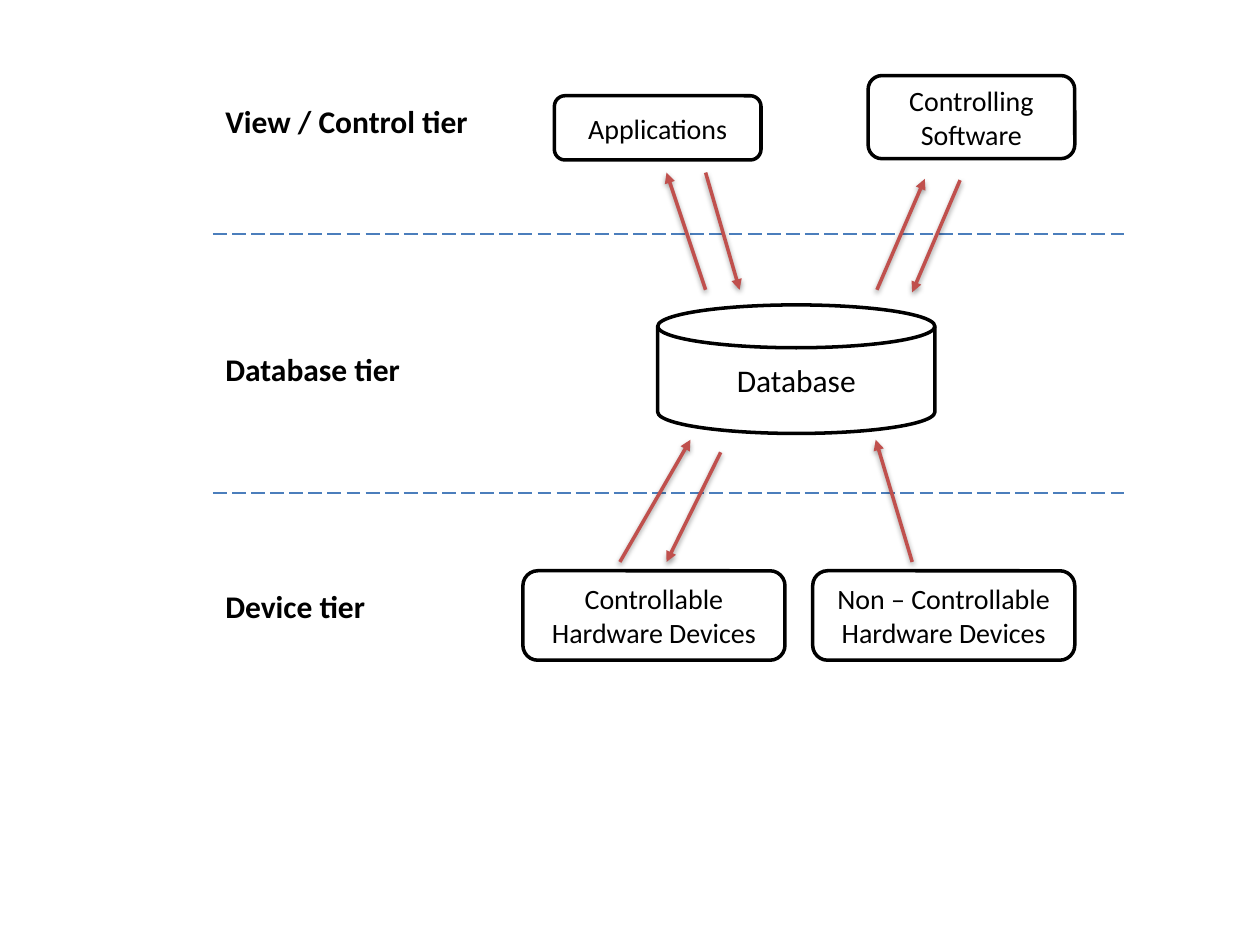
from lxml.etree import SubElement
from pptx import Presentation
from pptx.dml.color import RGBColor
from pptx.enum.dml import MSO_LINE
from pptx.enum.shapes import MSO_CONNECTOR, MSO_SHAPE
from pptx.enum.text import MSO_ANCHOR, MSO_AUTO_SIZE, PP_ALIGN
from pptx.oxml.ns import qn
from pptx.util import Inches, Pt

COLORS = {"ink": "000000", "paper": "FFFFFF", "rule": "4B7EBC", "arrow": "C0504D"}
COLORS = {name: RGBColor.from_string(code) for name, code in COLORS.items()}

deck = Presentation()
deck.slide_width, deck.slide_height = Inches(10), Inches(7.5)
slide = deck.slides.add_slide(deck.slide_layouts[6])
shapes = slide.shapes


def add_line(ends, color, width):
    """Add a straight line and return it with its empty effect list."""
    line = shapes.add_connector(MSO_CONNECTOR.STRAIGHT, *map(Inches, ends))
    line.line.color.rgb = COLORS[color]
    line.line.width = Pt(width)
    return line, SubElement(line._element.spPr, qn("a:effectLst"))


def set_text(shape, text, size, bold=False, align=None):
    frame = shape.text_frame
    frame.word_wrap = True
    frame.text = text
    para = frame.paragraphs[0]
    para.alignment = align
    para.font.name = "Calibri"
    para.font.size = Pt(size)
    para.font.bold = bold
    para.font.color.rgb = COLORS["ink"]
    return frame


# Dashed lines between tiers
for y in (1.86, 3.91):
    rule, _ = add_line((1.69, y, 8.94, y), "rule", 1)
    rule.line.dash_style = MSO_LINE.LONG_DASH

# Tier labels
for text, y, width in (
    ("View / Control tier", 0.76, 2.6),
    ("Database tier", 2.73, 1.97),
    ("Device tier", 4.61, 2.13),
):
    label = shapes.add_textbox(Inches(1.69), Inches(y), Inches(width), Inches(0.4))
    set_text(label, text, 18, bold=True).auto_size = MSO_AUTO_SIZE.SHAPE_TO_FIT_TEXT

# Database and the parts around it
BOX, DISK = MSO_SHAPE.ROUNDED_RECTANGLE, MSO_SHAPE.FLOWCHART_MAGNETIC_DISK
for text, kind, size, place in (
    ("Applications", BOX, 16, (4.4, 0.76, 1.64, 0.51)),
    ("Controlling Software", BOX, 16, (6.89, 0.6, 1.64, 0.66)),
    ("Database", DISK, 18, (5.22, 2.42, 2.2, 1.02)),
    ("Controllable Hardware Devices", BOX, 16, (4.15, 4.53, 2.08, 0.71)),
    ("Non – Controllable Hardware Devices", BOX, 16, (6.45, 4.53, 2.08, 0.71)),
):
    node = shapes.add_shape(kind, *map(Inches, place))
    node.shadow.inherit = False
    node.fill.solid()
    node.fill.fore_color.rgb = COLORS["paper"]
    node.line.color.rgb = COLORS["ink"]
    node.line.width = Pt(2)
    frame = set_text(node, text, size, align=PP_ALIGN.CENTER)
    frame.vertical_anchor = MSO_ANCHOR.MIDDLE

# Data flow arrows, each from its start to its head
for ends in (
    (5.6, 2.3, 5.29, 1.37),
    (5.6, 1.37, 5.87, 2.3),
    (6.96, 2.3, 7.34, 1.42),
    (7.62, 1.43, 7.24, 2.32),
    (4.92, 4.46, 5.48, 3.49),
    (5.72, 3.59, 5.29, 4.46),
    (7.24, 4.46, 6.95, 3.49),
):
    arrow, effects = add_line(ends, "arrow", 2)
    SubElement(arrow.line._get_or_add_ln(), qn("a:tailEnd"), type="triangle")
    # Soft shadow below the arrow
    shadow = SubElement(
        effects, qn("a:outerShdw"), blurRad=str(Pt(3.1)), dist=str(Pt(1.6)),
        dir="5400000", rotWithShape="0",
    )
    tint = SubElement(shadow, qn("a:srgbClr"), val=str(COLORS["ink"]))
    SubElement(tint, qn("a:alpha"), val="38000")

deck.save("out.pptx")
